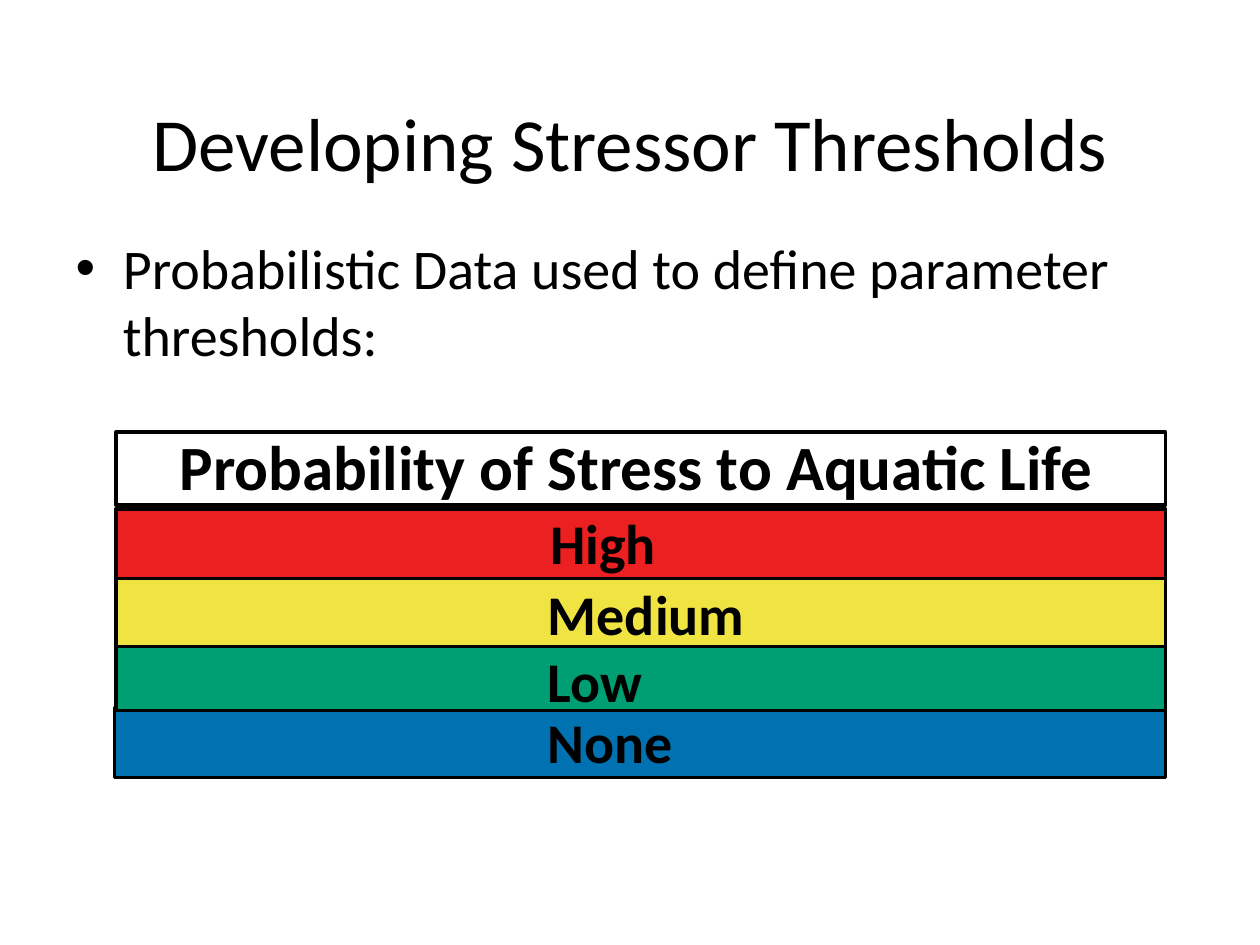
from dataclasses import dataclass

from pptx import Presentation
from pptx.dml.color import RGBColor
from pptx.enum.shapes import MSO_SHAPE as Shape
from pptx.enum.text import MSO_ANCHOR as Anchor, MSO_AUTO_SIZE as AutoSize, PP_ALIGN as Align
from pptx.util import Inches, Pt


@dataclass(frozen=True)
class Theme:
    font: str = "Calibri"
    ink: str = "000000"
    high: str = "EC2020"
    medium: str = "F0E442"
    low: str = "009E73"
    none: str = "0072B2"
    title: float = 42.9
    body: float = 32
    header: float = 36
    outline: float = 2


class Deck:
    COLS, ROWS = 100, 75

    def __init__(self, theme):
        self.theme = theme
        self.prs = Presentation()
        self.prs.slide_width, self.prs.slide_height = Inches(10), Inches(7.5)
        self.s = self.prs.slides.add_slide(self.prs.slide_layouts[1])
        self.group = self.s.shapes.add_group_shape()

    def area(self, x, y, w, h):
        col = self.prs.slide_width / self.COLS
        row = self.prs.slide_height / self.ROWS
        return [round(v * unit) for v, unit in zip((x, y, w, h), (col, row, col, row))]

    def set_text(self, tf, text, size, bold=False, **frame):
        for name, value in frame.items():
            setattr(tf, name, value)
        p = tf.paragraphs[0]
        r = p.add_run()
        r.text = text
        for name, value in dict(name=self.theme.font, size=Pt(size), bold=bold).items():
            setattr(r.font, name, value)
        r.font.color.rgb = RGBColor.from_string(self.theme.ink)
        return p

    def placeholder(self, index, at, text, size, **frame):
        sp = self.s.placeholders[index]
        for name, value in zip(("left", "top", "width", "height"), self.area(*at)):
            setattr(sp, name, value)
        return self.set_text(sp.text_frame, text, size, **frame)

    def band(self, at, color=None):
        sp = self.group.shapes.add_shape(Shape.RECTANGLE, *self.area(*at))
        sp.shadow.inherit = False
        if color:
            sp.fill.solid()
            sp.fill.fore_color.rgb = RGBColor.from_string(color)
        else:
            sp.fill.background()
        sp.line.color.rgb = RGBColor.from_string(self.theme.ink)
        sp.line.width = Pt(self.theme.outline)

    def label(self, at, text, size, wrap=True):
        sp = self.group.shapes.add_textbox(*self.area(*at))
        self.set_text(sp.text_frame, text, size, bold=True,
                      word_wrap=wrap, auto_size=AutoSize.SHAPE_TO_FIT_TEXT)

    def save(self):
        self.prs.save("out.pptx")


def main():
    theme = Theme()
    deck = Deck(theme)
    title = deck.placeholder(0, (5, 5, 90, 12.5), "Developing Stressor Thresholds",
                             theme.title, vertical_anchor=Anchor.MIDDLE)
    title.alignment = Align.CENTER
    deck.placeholder(1, (5, 18, 90, 49.5),
                     "Probabilistic Data used to define parameter thresholds:", theme.body)

    right, band_height, label_height = 92.5, 5.5, 6.4
    levels = [
        ("High", theme.high, 9.2, 40.4, 42.7, 39.9, 11.7),
        ("Medium", theme.medium, 9.2, 45.8, 42.5, 45.5, 19.4),
        ("Low", theme.low, 9.2, 50.9, 42.5, 50.8, 10),
        ("None", theme.none, 9.1, 56.2, 42.5, 55.7, 13.3),
    ]
    for _, color, left, top, *_ in reversed(levels):
        deck.band((left, top, right - left, band_height), color)
    deck.band((9.2, 34.3, right - 9.2, 5.8))
    deck.label((13.3, 33.4, 75.3, 7.1), "Probability of Stress to Aquatic Life",
               theme.header, wrap=False)
    for name, _, _, _, left, top, width in levels:
        deck.label((left, top, width, label_height), name, theme.body)
    deck.save()


if __name__ == "__main__":
    main()
